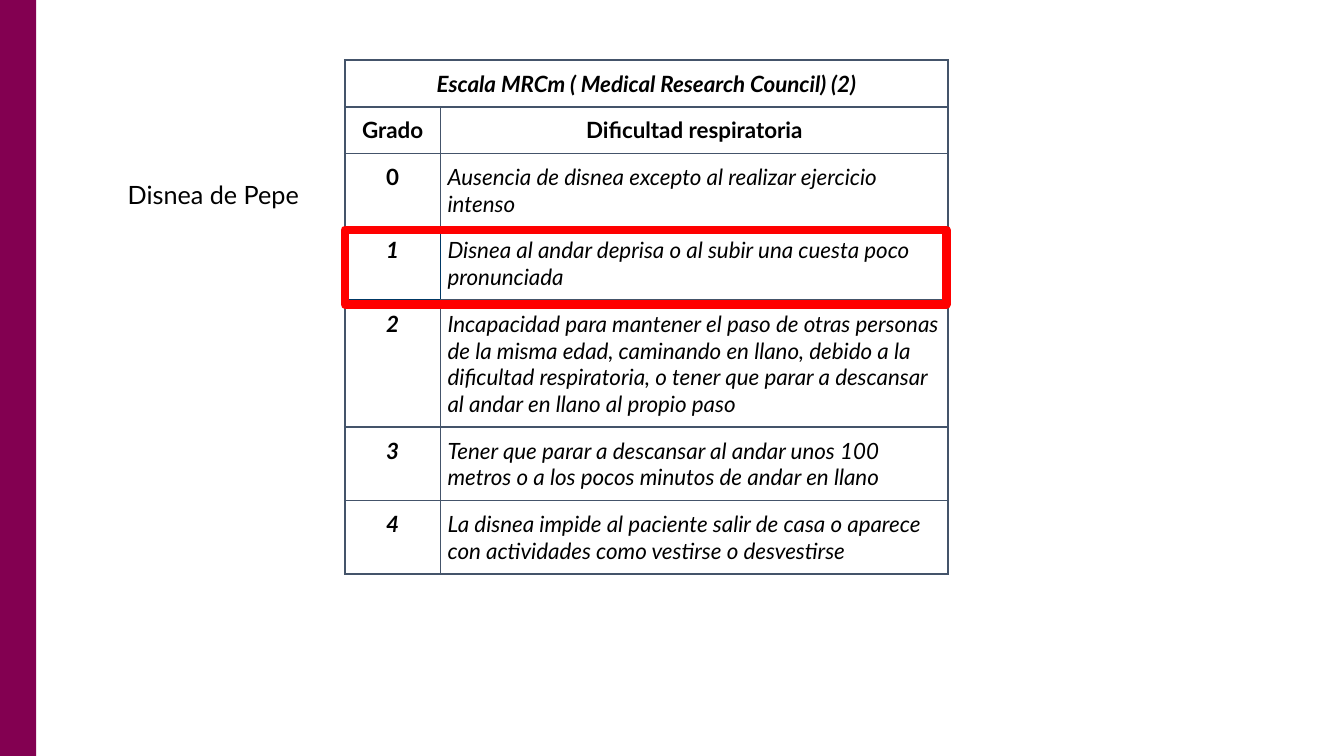
from lxml import etree
from pptx import Presentation
from pptx.dml.color import RGBColor
from pptx.enum.shapes import MSO_SHAPE
from pptx.enum.text import MSO_AUTO_SIZE, PP_ALIGN
from pptx.oxml.ns import qn
from pptx.util import Cm, Pt

RECTANGLE = MSO_SHAPE.RECTANGLE
CENTER, LEFT = PP_ALIGN.CENTER, PP_ALIGN.LEFT
FIT_SHAPE = MSO_AUTO_SIZE.SHAPE_TO_FIT_TEXT

BLACK = RGBColor(0x00, 0x00, 0x00)
PLUM = RGBColor(0x83, 0x00, 0x51)
SLATE = RGBColor(0x44, 0x54, 0x6A)
NAVY = RGBColor(0x00, 0x38, 0x65)
RED = RGBColor(0xFF, 0x00, 0x00)

FONT = "Lato"
TITLE = "Escala MRCm ( Medical Research Council) (2)"
HEADINGS = ("Grado", "Dificultad respiratoria")
GRADES = (
    "Ausencia de disnea excepto al realizar ejercicio intenso",
    "Disnea al andar deprisa o al subir una cuesta poco pronunciada",
    "Incapacidad para mantener el paso de otras personas de la misma edad, "
    "caminando en llano, debido a la dificultad respiratoria, o tener que "
    "parar a descansar al andar en llano al propio paso",
    "Tener que parar a descansar al andar unos 100 metros o a los pocos "
    "minutos de andar en llano",
    "La disnea impide al paciente salir de casa o aparece con actividades "
    "como vestirse o desvestirse",
)
COLUMN_WIDTHS = (2.41, 12.8)
ROW_HEIGHTS = (0.94, 0.94, 1.27, 1.52, 2.72, 1.52, 1.52)
NAVY_SIDES = {(2, 0): "B", (3, 0): "LRTB", (3, 1): "L", (4, 0): "T"}


def write_text(frame, text, size=16, bold=False, italic=False, align=LEFT):
    para = frame.paragraphs[0]
    para.alignment = align
    span = para.add_run()
    span.text = text
    span.font.name = FONT
    span.font.size = Pt(size)
    span.font.bold = bold
    span.font.italic = italic
    span.font.color.rgb = BLACK


def draw_borders(cell, navy_sides):
    properties = cell._tc.get_or_add_tcPr()
    for side in "LRTB":
        line = etree.SubElement(properties, qn(f"a:ln{side}"), w=str(Pt(1.5)))
        fill = etree.SubElement(line, qn("a:solidFill"))
        colour = NAVY if side in navy_sides else SLATE
        etree.SubElement(fill, qn("a:srgbClr"), val=str(colour))


def add_rectangle(page, left, top, width, height, fill=None, line=None):
    box = page.shapes.add_shape(RECTANGLE, Cm(left), Cm(top), Cm(width), Cm(height))
    box.shadow.inherit = False
    if fill is None:
        box.fill.background()
    else:
        box.fill.solid()
        box.fill.fore_color.rgb = fill
    if line is None:
        box.line.fill.background()
    else:
        box.line.color.rgb = line
        box.line.width = Pt(6)


def add_caption(page, left, top, width, height):
    box = page.shapes.add_textbox(Cm(left), Cm(top), Cm(width), Cm(height))
    box.text_frame.word_wrap = False
    box.text_frame.auto_size = FIT_SHAPE
    write_text(box.text_frame, "Disnea de Pepe", size=18)


def add_scale(page, left, top):
    table = page.shapes.add_table(
        len(ROW_HEIGHTS), len(COLUMN_WIDTHS), Cm(left), Cm(top),
        Cm(sum(COLUMN_WIDTHS)), Cm(sum(ROW_HEIGHTS)),
    ).table
    table.first_row = False
    table.horz_banding = False
    for column, width in zip(table.columns, COLUMN_WIDTHS):
        column.width = Cm(width)
    for index, (row, height) in enumerate(zip(table.rows, ROW_HEIGHTS)):
        row.height = Cm(height)
        for position, cell in enumerate(row.cells):
            cell.margin_left = cell.margin_right = Cm(0.18)
            cell.margin_top = cell.margin_bottom = Cm(0.25)
            draw_borders(cell, NAVY_SIDES.get((index, position), ""))
            cell.fill.background()

    title = table.cell(0, 0)
    title.merge(table.cell(0, 1))
    write_text(title.text_frame, TITLE, bold=True, italic=True, align=CENTER)
    for position, heading in enumerate(HEADINGS):
        write_text(table.cell(1, position).text_frame, heading, bold=True, align=CENTER)
    for grade, description in enumerate(GRADES):
        number, detail = table.rows[grade + 2].cells
        write_text(number.text_frame, str(grade), bold=True, italic=grade > 0, align=CENTER)
        write_text(detail.text_frame, description, italic=True)


def main():
    deck = Presentation()
    deck.slide_width, deck.slide_height = Cm(33.87), Cm(19.05)
    page = deck.slides.add_slide(deck.slide_layouts[6])
    add_rectangle(page, 0, 0, 0.91, 19.05, fill=PLUM)
    add_scale(page, 8.69, 1.52)
    add_rectangle(page, 8.69, 5.79, 15.16, 1.88, line=RED)
    add_caption(page, 2.97, 4.39, 5.08, 1.02)
    deck.save("out.pptx")


if __name__ == "__main__":
    main()
